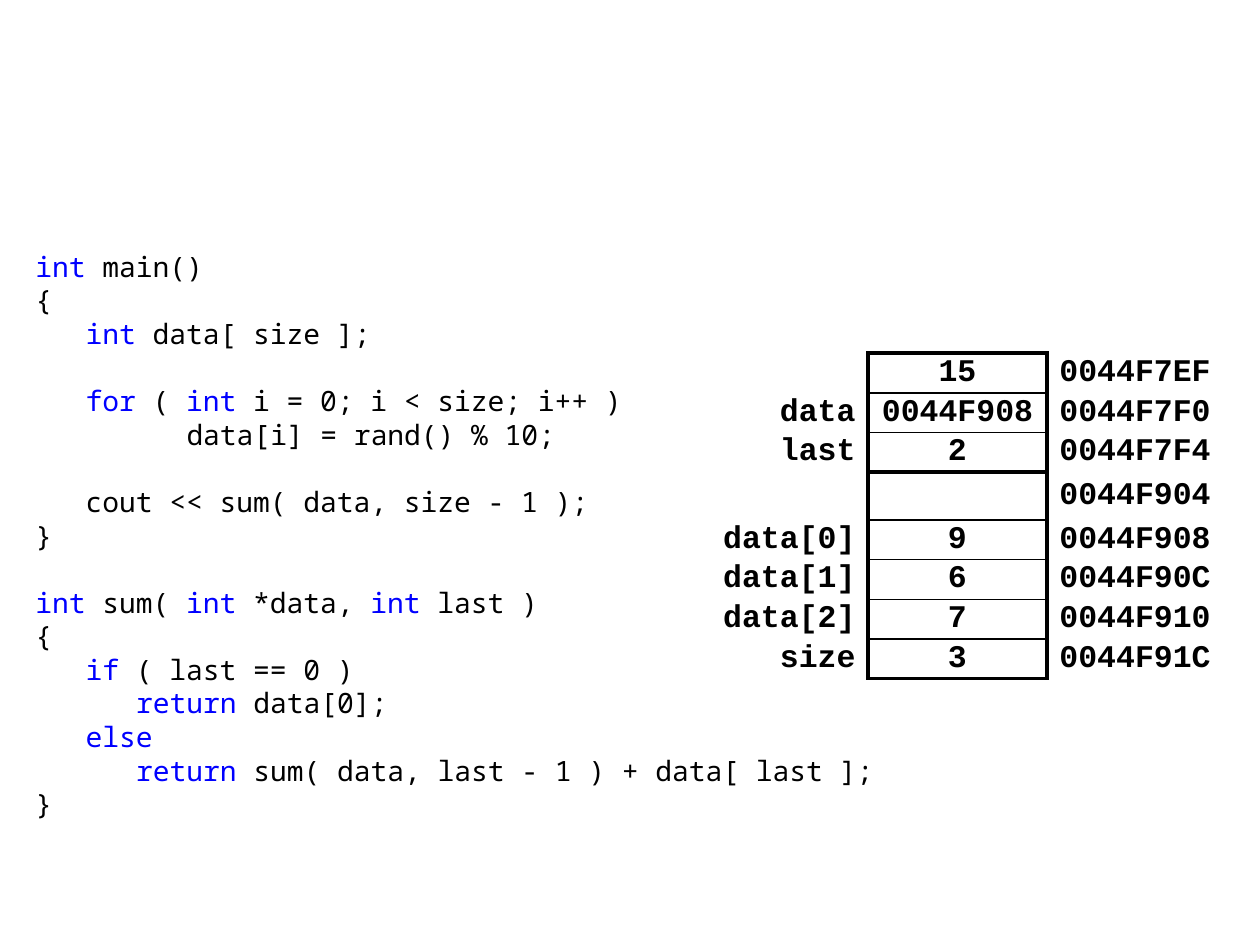
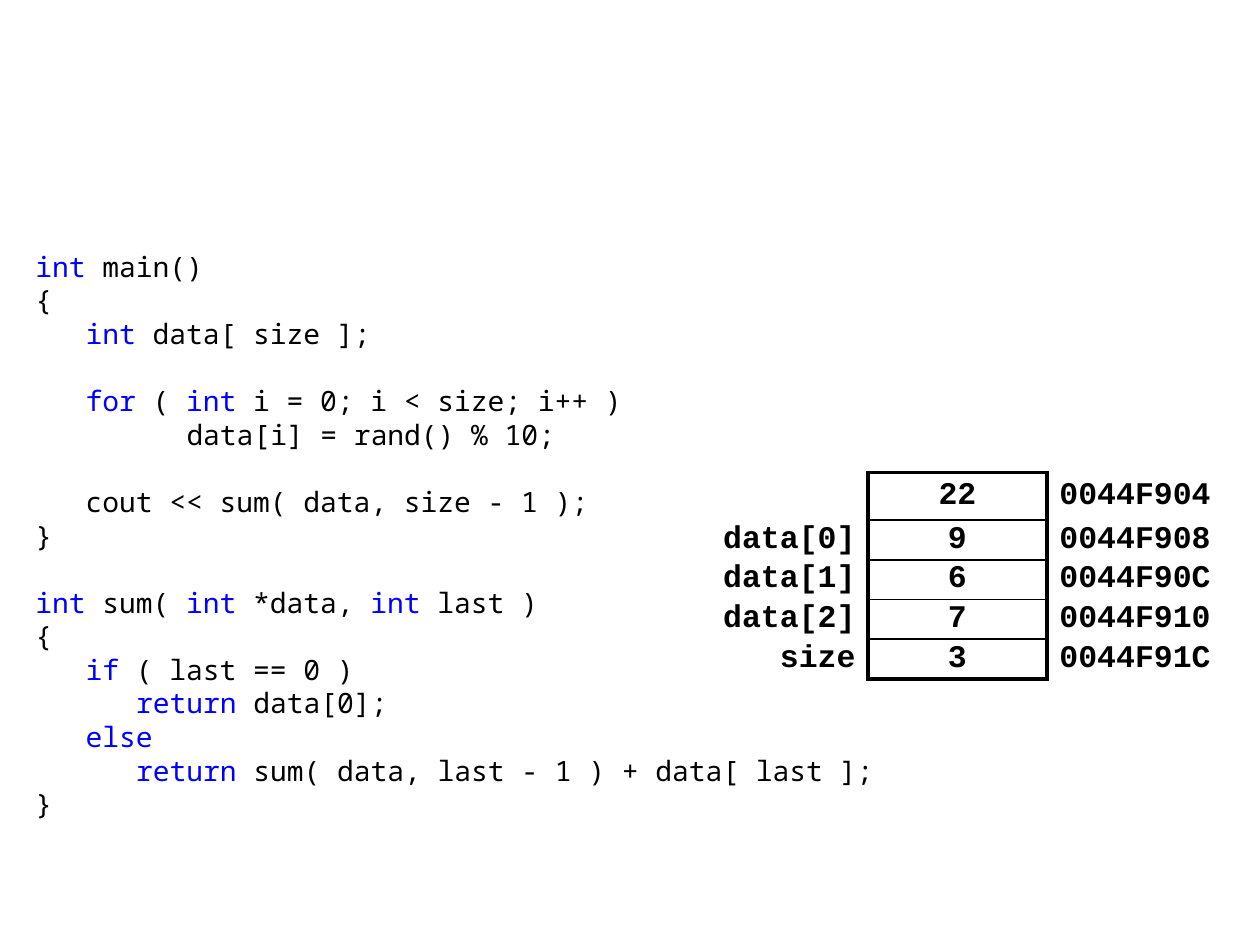
"""Two slides tracing a recursive sum: the code beside its memory."""
from dataclasses import dataclass

from lxml.etree import SubElement
from pptx import Presentation
from pptx.dml.color import RGBColor
from pptx.enum.text import MSO_ANCHOR as Anchor, PP_ALIGN as Align
from pptx.oxml.ns import qn
from pptx.util import Pt

BLACK = RGBColor(0x00, 0x00, 0x00)
KEYWORD_BLUE = RGBColor(0x00, 0x00, 0xFF)
CODE_FONT, CODE_SIZE, LINE_PITCH = "Noto Sans Mono", 16, 19.2
CHARACTER_WIDTH = 9.6
MEMORY_FONT, MEMORY_SIZE = "Courier New", 18
MEMORY_LEFT, MEMORY_BOTTOM = 405.4, 388
COLUMN_WIDTHS = (90.6, 102.2, 102.2)
ALIGNMENTS = (Align.RIGHT, Align.CENTER, Align.LEFT)
ROW_HEIGHT, RESULT_HEIGHT = 22.7, 27.3
THICK, THIN = 2.25, 1
NO_STYLE = "{2D5ABB26-0587-4C30-8999-92F81FD0307C}"


@dataclass
class CodeLine:
    """A line of code; keywords stand between bars."""
    text: str
    indent: int = 0
    gap_before: bool = False


@dataclass
class Cell:
    """One memory cell with its variable name and address."""
    name: str
    value: str
    address: str
    height: float = ROW_HEIGHT


CODE = [
    CodeLine("|int| main()"),
    CodeLine("{"),
    CodeLine("|int| data[ size ];", 3),
    CodeLine("|for| ( |int| i = 0; i < size; i++ )", 3, True),
    CodeLine("data[i] = rand() % 10;", 9),
    CodeLine("cout << sum( data, size - 1 );", 3, True),
    CodeLine("}"),
    CodeLine("|int| sum( |int |*data, |int| last )", 0, True),
    CodeLine("{"),
    CodeLine("|if| ( last == 0 )", 3),
    CodeLine("|return| data[0];", 6),
    CodeLine("|else|", 3),
    CodeLine("|return| sum( data, last - 1 ) + data[ last ];", 6),
    CodeLine("}"),
]

SUM_FRAME = [
    Cell("", "15", "0044F7EF"),
    Cell("data", "0044F908", "0044F7F0"),
    Cell("last", "2", "0044F7F4"),
]


def main_frame(result: str) -> list[Cell]:
    """Return the memory of main with the given returned sum."""
    return [
        Cell("", result, "0044F904", RESULT_HEIGHT),
        Cell("data[0]", "9", "0044F908"),
        Cell("data[1]", "6", "0044F90C"),
        Cell("data[2]", "7", "0044F910"),
        Cell("size", "3", "0044F91C"),
    ]


def add_code(slide) -> None:
    """Write the program with blue keywords."""
    frame = slide.shapes.add_textbox(Pt(20.2), Pt(133.9), Pt(487.4), Pt(339.8)).text_frame
    frame.word_wrap = True
    frame.margin_left = frame.margin_right = Pt(0)
    frame.margin_top, frame.margin_bottom = Pt(8.6), Pt(5.8)
    for index, line in enumerate(CODE):
        paragraph = frame.add_paragraph() if index else frame.paragraphs[0]
        paragraph.line_spacing = Pt(LINE_PITCH)
        paragraph.space_before = Pt(LINE_PITCH if line.gap_before else 0)
        properties = paragraph._p.get_or_add_pPr()
        properties.set("marL", str(Pt(line.indent * CHARACTER_WIDTH)))
        properties.set("indent", "0")
        for position, part in enumerate(line.text.split("|")):
            if part:
                run = paragraph.add_run()
                run.text = part
                run.font.name, run.font.size = CODE_FONT, Pt(CODE_SIZE)
                run.font.color.rgb = KEYWORD_BLUE if position % 2 else BLACK


def set_borders(cell, widths: dict[str, float]) -> None:
    """Draw black borders on the given sides, in schema order."""
    properties = cell._tc.get_or_add_tcPr()
    for side, width in widths.items():
        line = SubElement(properties, qn(f"a:ln{side}"), w=str(Pt(width)))
        fill = SubElement(line, qn("a:solidFill"))
        SubElement(fill, qn("a:srgbClr"), val=str(BLACK))


def fill_cell(cell, text: str, alignment: Align) -> None:
    """Write bold memory text in a cell without fill."""
    cell.fill.background()
    cell.vertical_anchor = Anchor.MIDDLE
    cell.margin_left = cell.margin_right = Pt(7.2)
    cell.margin_top = cell.margin_bottom = Pt(0)
    paragraph = cell.text_frame.paragraphs[0]
    paragraph.text, paragraph.alignment = text, alignment
    for run in paragraph.runs:
        run.font.name, run.font.size = MEMORY_FONT, Pt(MEMORY_SIZE)
        run.font.bold, run.font.color.rgb = True, BLACK


def add_memory(slide, frames: list[list[Cell]]) -> None:
    """Stack the frames in one table, thick lines around each."""
    rows = [(cell, cell is frame[0], cell is frame[-1])
            for frame in frames for cell in frame]
    height = sum(cell.height for cell, _, _ in rows)
    graphic = slide.shapes.add_table(
        len(rows), len(COLUMN_WIDTHS), Pt(MEMORY_LEFT), Pt(MEMORY_BOTTOM - height),
        Pt(sum(COLUMN_WIDTHS)), Pt(height))
    table = graphic.table
    table.first_row = table.horz_banding = False
    table._tbl.tblPr.find(qn("a:tableStyleId")).text = NO_STYLE
    for column, width in zip(table.columns, COLUMN_WIDTHS):
        column.width = Pt(width)
    for index, (memory, first, last) in enumerate(rows):
        table.rows[index].height = Pt(memory.height)
        borders = (
            {"R": THICK},
            {"L": THICK, "R": THICK, "T": THICK if first else THIN,
             "B": THICK if last else THIN},
            {"L": THICK},
        )
        texts = (memory.name, memory.value, memory.address)
        for column, text in enumerate(texts):
            cell = table.cell(index, column)
            set_borders(cell, borders[column])
            fill_cell(cell, text, ALIGNMENTS[column])


def main() -> None:
    """Build both slides and save them."""
    presentation = Presentation()
    presentation.slide_width, presentation.slide_height = Pt(720), Pt(540)
    for frames in ([SUM_FRAME, main_frame("")], [main_frame("22")]):
        slide = presentation.slides.add_slide(presentation.slide_layouts[6])
        add_code(slide)
        add_memory(slide, frames)
    presentation.save("out.pptx")


main()
